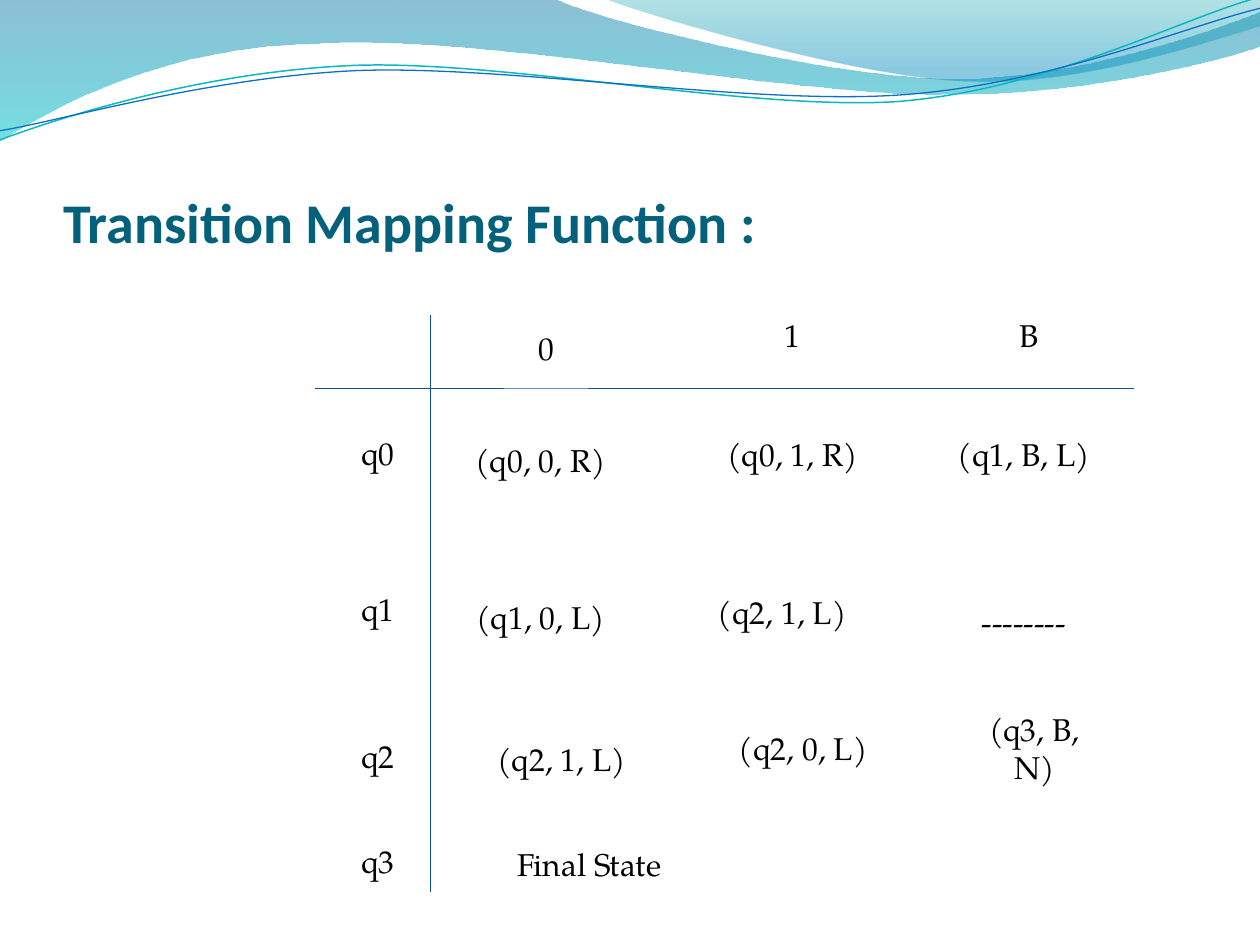
from pptx import Presentation
from pptx.dml.color import RGBColor
from pptx.enum.shapes import MSO_CONNECTOR, MSO_SHAPE
from pptx.enum.text import MSO_ANCHOR, MSO_AUTO_SIZE, PP_ALIGN
from pptx.oxml.ns import qn
from pptx.oxml.xmlchemy import OxmlElement
from pptx.util import Pt

PX = 9525
COLORS = {
    "title": "04617B", "text": "000000", "box": "FFFFFF", "rule": "095295",
    "deep": "0074A1", "aqua": "00C6CF", "teal": "00A1A9", "sky": "008BBF",
    "wave": "0AB8BF", "blue": "0F6FC6",
}
TITLE = {"name": "Calibri", "size": Pt(32), "bold": True}
CELL = {"name": "TeX Gyre Pagella", "size": Pt(18), "bold": False}
TILT = 357.3

# Outlines: a start point, then segments of one point (line) or three (curve).
# Bands: outline, then stops of position, color, opacity in percent.
BANDS = [
    ([(0, 0), [(422, -1)],
      [(457, 16), (637, 60), (728, 60)], [(819, 60), (920, 25), (960, 9)],
      [(961, 35)],
      [(944, 42), (835, 73), (716, 72)], [(597, 72), (367, 27), (247, 33)],
      [(124, 35), (44, 80), (-1, 108)]],
     [(0, "deep", 45), (100, "aqua", 55)]),
    ([(460, -1),
      [(489, 11), (655, 60), (738, 62)], [(822, 66), (923, 31), (960, 20)],
      [(960, 0)]],
     [(0, "teal", 30), (80, "sky", 45)]),
]
# Waves: outline before the tilt, color, width in points.
WAVES = [
    ([(-2, 84), [(45, 69), (152, 40), (266, 40)],
      [(380, 40), (568, 89), (683, 87)], [(799, 83), (901, 34), (960, 21)]],
     "wave", 0.85),
    ([(-2, 77), [(44, 72), (157, 44), (272, 44)],
      [(387, 45), (572, 85), (687, 82)], [(802, 79), (904, 40), (962, 29)]],
     "blue", 0.75),
]
RULES = [(240, 296, 864, 296), (328, 240, 328, 680)]

# Box size, then text with left and top.
BOXES = [
    ((64, 62), [("0", 384, 234), ("1", 572, 224), ("B", 752, 224),
                ("q0", 256, 314)]),
    ((64, 64), [("q1", 256, 432), ("q2", 256, 544), ("q3", 256, 624)]),
    ((120, 68), [
        ("(q0, 0, R)", 352, 316), ("(q0, 1, R)", 544, 312),
        ("(q1, B, L)", 720, 312),
        ("(q1, 0, L)", 352, 436), ("(q2, 1, L)", 536, 432),
        ("--------", 720, 440),
        ("(q2, 1, L)", 368, 544), ("(q2, 0, L)", 552, 536),
        ("(q3, B, N)", 728, 536)]),
    ((184, 68), [("Final State ", 360, 624)]),
]


def emu(*vals):
    return [val * PX for val in vals]


def rgb(name):
    return RGBColor.from_string(COLORS[name])


def style(font, form, color):
    for key, val in form.items():
        setattr(font, key, val)
    font.color.rgb = rgb(color)


def outline(slide, path, close):
    """Build a freeform, then join each three points into a cubic curve."""
    start, *segs = path
    pen = slide.shapes.build_freeform(*start, scale=PX)
    pen.add_line_segments([pt for seg in segs for pt in seg], close=close)
    shape = pen.convert_to_shape()
    shape.shadow.inherit = False
    nodes = iter(list(shape.element.iter(qn("a:lnTo"))))
    for seg in segs:
        group = [next(nodes) for _ in seg]
        if len(group) == 3:
            curve = OxmlElement("a:cubicBezTo")
            group[0].addprevious(curve)
            for node in group:
                curve.append(node[0])
                node.getparent().remove(node)
    return shape


def band(slide, path, stops):
    shape = outline(slide, path, True)
    shape.line.fill.background()
    shape.fill.gradient()
    shape.fill.gradient_angle = 270
    for stop, (pos, name, _) in zip(shape.fill.gradient_stops, stops):
        stop.position = pos / 100
        stop.color.rgb = rgb(name)
    for node, (*_, solid) in zip(shape.element.iter(qn("a:gs")), stops):
        alpha = OxmlElement("a:alpha")
        alpha.set("val", str(solid * 1000))
        node[0].append(alpha)


def wave(slide, path, color, width):
    shape = outline(slide, path, False)
    shape.rotation = TILT
    shape.fill.background()
    shape.line.color.rgb = rgb(color)
    shape.line.width = Pt(width)


def rule(slide, ends):
    line = slide.shapes.add_connector(MSO_CONNECTOR.STRAIGHT, *emu(*ends))
    line.line.color.rgb = rgb("rule")
    line.line.width = Pt(0.75)
    line.element.spPr.append(OxmlElement("a:effectLst"))


def box(slide, text, *area):
    shape = slide.shapes.add_shape(MSO_SHAPE.RECTANGLE, *emu(*area))
    shape.shadow.inherit = False
    shape.fill.solid()
    shape.fill.fore_color.rgb = rgb("box")
    shape.line.fill.background()
    frame = shape.text_frame
    frame.vertical_anchor = MSO_ANCHOR.MIDDLE
    para = frame.paragraphs[0]
    para.text = text
    para.alignment = PP_ALIGN.CENTER
    style(para.runs[0].font, CELL, "text")


def head(slide, text):
    """Fill the title placeholder and bring it in front of the waves."""
    title = slide.shapes.title
    slide.shapes.element.append(title.element)
    title.left, title.top, title.width, title.height = emu(48, 74, 864, 120)
    frame = title.text_frame
    form = {"margin_left": 0, "margin_top": 5 * PX, "margin_right": 0,
            "margin_bottom": 0, "vertical_anchor": MSO_ANCHOR.BOTTOM,
            "word_wrap": True, "auto_size": MSO_AUTO_SIZE.NONE}
    for key, val in form.items():
        setattr(frame, key, val)
    para = frame.paragraphs[0]
    para.text = text
    para.alignment = PP_ALIGN.LEFT
    style(para.runs[0].font, TITLE, "title")


def main():
    deck = Presentation()
    deck.slide_width, deck.slide_height = emu(960, 720)
    slide = deck.slides.add_slide(deck.slide_layouts[5])
    for path, stops in BANDS:
        band(slide, path, stops)
    for path, color, width in WAVES:
        wave(slide, path, color, width)
    head(slide, "Transition Mapping Function :")
    for ends in RULES:
        rule(slide, ends)
    for size, cells in BOXES:
        for text, left, top in cells:
            box(slide, text, left, top, *size)
    deck.save("out.pptx")


if __name__ == "__main__":
    main()
